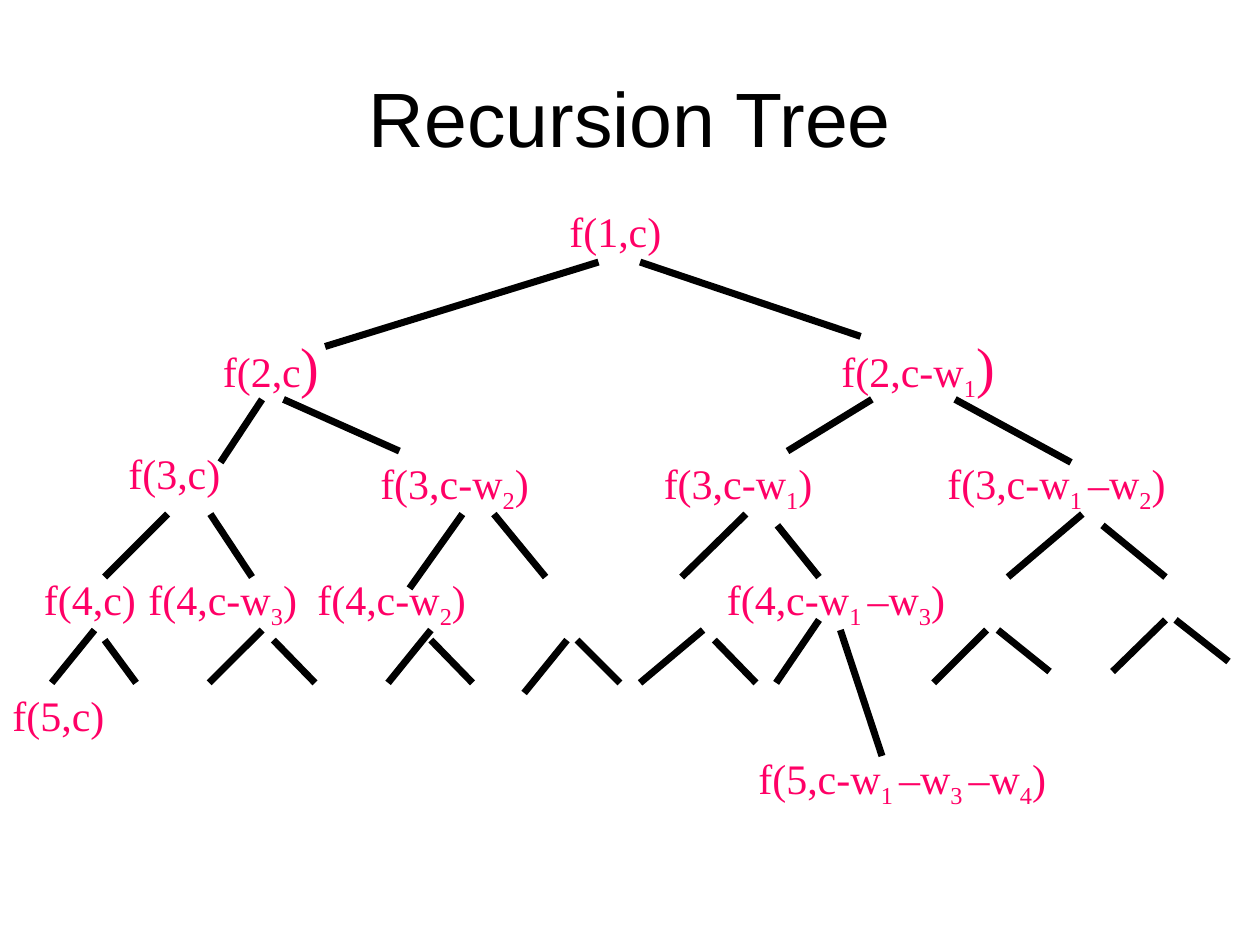
import pptx
import pptx.dml.color
import pptx.enum.shapes
import pptx.enum.text
import pptx.oxml.ns
import pptx.util
from lxml import etree

Inches = pptx.util.Inches
Pt = pptx.util.Pt
COLORS = {"title": "000000", "branch": "000000", "call": "FF0066"}

# text (parts alternate normal | subscript), left, top, width, height, last size
CALLS = [
    ("f(1,c)", 4.42, 0, 1.42, 0.5, 24),
    ("f(2,c||)", 1.67, 1, 1.42, 0.63, 32),
    ("f(2,c-w|1|)", 6.58, 1, 2, 0.67, 32),
    ("f(3,c)", 0.92, 1.92, 1.42, 0.5, 24),
    ("f(3,c-w|2|)", 2.92, 2, 2, 0.56, 24),
    ("f(3,c-w|1|)", 5.17, 2, 2, 0.56, 24),
    ("f(3,c-w|1 |–w|2|)", 7.42, 2, 2.58, 0.56, 24),
    ("f(4,c)", 0.25, 2.92, 1, 0.5, 24),
    ("f(4,c-w|3|)", 1.08, 2.92, 2, 0.56, 24),
    ("f(4,c-w|2|)", 2.42, 2.92, 1.42, 0.56, 24),
    ("f(4,c-w|1 |–w|3|)", 5.67, 2.92, 2.58, 0.56, 24),
    ("f(5,c)", 0, 3.84, 1, 0.5, 24),
    ("f(5,c-w|1 |–w|3 |–w|4|)", 5.92, 4.34, 2.58, 0.56, 24),
]

# each fork: left branch, right branch
FORKS = [
    ((4.75, 0.5, 2.58, 1.17), (5.08, 0.5, 6.83, 1.09)),
    ((2.08, 1.59, 1.75, 2.09), (2.25, 1.59, 3.17, 2)),
    ((6.92, 1.59, 6.25, 2), (7.58, 1.59, 8.5, 2.09)),
    ((1.33, 2.5, 0.83, 3), (1.67, 2.5, 2, 3)),
    ((3.67, 2.5, 3.25, 3.09), (3.92, 2.5, 4.33, 3)),
    ((5.92, 2.5, 5.41, 3), (6.17, 2.59, 6.5, 3)),
    ((8.59, 2.5, 8, 3), (8.75, 2.59, 9.25, 3)),
    ((0.75, 3.42, 0.41, 3.84), (0.83, 3.5, 1.08, 3.84)),
    ((2.08, 3.42, 1.66, 3.84), (2.17, 3.5, 2.5, 3.84)),
    ((3.42, 3.42, 3.08, 3.84), (3.42, 3.5, 3.75, 3.84)),
    ((4.5, 3.5, 4.16, 3.92), (4.58, 3.5, 4.92, 3.84)),
    ((5.58, 3.42, 5.08, 3.84), (5.67, 3.5, 6, 3.84)),
    ((6.5, 3.34, 6.16, 3.84), (6.67, 3.42, 7, 4.42)),
    ((7.83, 3.42, 7.41, 3.84), (7.92, 3.42, 8.33, 3.75)),
    ((9.25, 3.34, 8.83, 3.75), (9.33, 3.34, 9.75, 3.67)),
]


def add_text(p, text, font="Times New Roman", size=24, color="call", sub=False):
    r = p.add_run()
    r.text = text
    r.font.name = font
    r.font.size = Pt(size)
    r.font.color.rgb = pptx.dml.color.RGBColor.from_string(COLORS[color])
    if sub:
        r.font._element.set("baseline", "-25000")


def add_title(s, text, left, top, width, height):
    sp = s.shapes.title
    sp.left, sp.top, sp.width, sp.height = map(Inches, (left, top, width, height))
    tf = sp.text_frame
    tf.vertical_anchor = pptx.enum.text.MSO_ANCHOR.MIDDLE
    p = tf.paragraphs[0]
    p.alignment = pptx.enum.text.PP_ALIGN.CENTER
    add_text(p, text, font="Arial", size=44, color="title")


def add_call(s, text, left, top, width, height, last_size):
    sp = s.shapes.add_textbox(*map(Inches, (left, top, width, height)))
    tf = sp.text_frame
    tf.word_wrap = True
    tf.auto_size = pptx.enum.text.MSO_AUTO_SIZE.SHAPE_TO_FIT_TEXT
    parts = text.split("|")
    for i, part in enumerate(parts):
        if part:
            size = last_size if i == len(parts) - 1 else 24
            add_text(tf.paragraphs[0], part, size=size, sub=i % 2 == 1)


def add_branch(s, x1, y1, x2, y2):
    line = s.shapes.add_connector(
        pptx.enum.shapes.MSO_CONNECTOR.STRAIGHT, *map(Inches, (x1, y1, x2, y2)))
    line.line.width = Pt(4)
    line.line.color.rgb = pptx.dml.color.RGBColor.from_string(COLORS["branch"])
    etree.SubElement(line._element.spPr, pptx.oxml.ns.qn("a:effectLst"))


def add_tree(s, left, top):
    for fork in FORKS:
        for x1, y1, x2, y2 in fork:
            add_branch(s, left + x1, top + y1, left + x2, top + y2)
    for text, x, y, width, height, last_size in CALLS:
        add_call(s, text, left + x, top + y, width, height, last_size)


def main():
    prs = pptx.Presentation()
    prs.slide_width, prs.slide_height = Inches(10), Inches(7.5)
    s = prs.slides.add_slide(prs.slide_layouts[5])
    add_title(s, "Recursion Tree", 0.5, 0.3, 9, 1.25)
    add_tree(s, 0, 1.58)
    prs.save("out.pptx")


if __name__ == "__main__":
    main()
